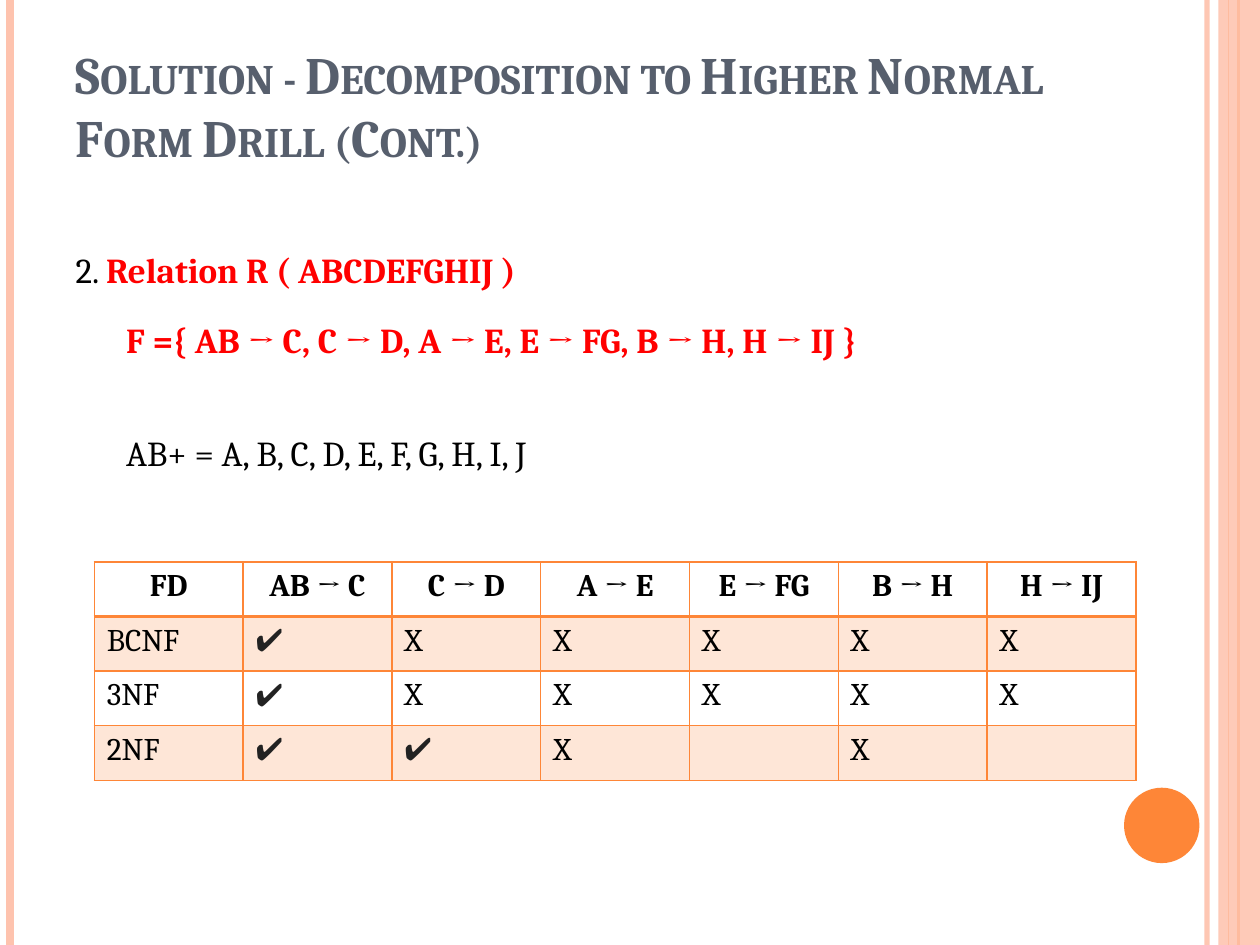
"""Build the normal form decomposition slide with its dependency table."""
import dataclasses
import typing

import pptx
import pptx.dml.color
import pptx.enum.shapes
import pptx.enum.text
import pptx.oxml
import pptx.oxml.ns
import pptx.util
from pptx.util import Cm

ALIGN = pptx.enum.text.PP_ALIGN
SHAPE = pptx.enum.shapes.MSO_SHAPE


@dataclasses.dataclass(frozen=True)
class Theme:
    font: str = "Cambria"
    symbol_font: str = "Arial"
    title_color: str = "575F6D"
    text_color: str = "000000"
    key_color: str = "FF0000"
    check_color: str = "222222"
    accent: str = "FE8637"
    pale: str = "FEC3AE"
    title_size: float = 30
    body_size: float = 20
    table_size: float = 18


THEME = Theme()


class Stripe(typing.NamedTuple):
    x: float
    color: str
    width: float
    opacity: int = 100


class Span(typing.NamedTuple):
    text: str
    color: str = THEME.text_color
    bold: bool = False
    font: str = THEME.font


class Line(typing.NamedTuple):
    spans: list[Span]
    indent: float
    before: float


STRIPES = [
    Stripe(24.33, THEME.pale, 3, 93),
    Stripe(0.2, THEME.pale, 4.5),
    Stripe(24.97, THEME.accent, 1.5),
    Stripe(24.77, THEME.accent, 0.75),
]
LINES = [
    Line([Span("2. "), Span("Relation R ( ABCDEFGHIJ )", THEME.key_color, True)], 0, 6),
    Line([Span("F ={ AB → C, C → D, A → E, E → FG, B → H, H → IJ }", THEME.key_color, True)], 1.02, 4.5),
    Line([Span("AB+ = A, B, C, D, E, F, G, H, I, J")], 1.02, 28.5),
]
ROWS = [
    ["FD", "AB → C", "C → D", "A → E", "E → FG", "B → H", "H → IJ"],
    ["BCNF", "✔", "X", "X", "X", "X", "X"],
    ["3NF", "✔", "X", "X", "X", "X", "X"],
    ["2NF", "✔", "✔", "X", "", "X", ""],
]


def rgb(color: str) -> pptx.dml.color.RGBColor:
    return pptx.dml.color.RGBColor.from_string(color)


def set_opacity(element, percent: int) -> None:
    for color in element.iter(pptx.oxml.ns.qn("a:srgbClr")):
        alpha = pptx.oxml.parse_xml(f'<a:alpha {pptx.oxml.ns.nsdecls("a")} val="{percent * 1000}"/>')
        color.append(alpha)


def add_span(para, span: Span, size: float):
    run = para.add_run()
    run.text = span.text
    run.font.name = span.font
    run.font.size = pptx.util.Pt(size)
    run.font.bold = span.bold
    run.font.color.rgb = rgb(span.color)
    return run


def place(box, left: float, top: float, width: float, height: float) -> None:
    box.left, box.top, box.width, box.height = Cm(left), Cm(top), Cm(width), Cm(height)
    box.text_frame.word_wrap = True
    box.text_frame.auto_size = pptx.enum.text.MSO_AUTO_SIZE.NONE


def draw_stripe(page, stripe: Stripe, height: int) -> None:
    line = page.shapes.add_connector(
        pptx.enum.shapes.MSO_CONNECTOR.STRAIGHT, Cm(stripe.x), 0, Cm(stripe.x), height)
    line.line.color.rgb = rgb(stripe.color)
    line.line.width = pptx.util.Pt(stripe.width)
    properties = line._element.spPr
    if stripe.opacity < 100:
        set_opacity(properties, stripe.opacity)
    properties.append(pptx.oxml.parse_xml(f'<a:effectLst {pptx.oxml.ns.nsdecls("a")}/>'))


def draw_shape(page, kind, left: float, top: float, width: float, height: float,
               color: str, opacity: int = 100) -> None:
    shape = page.shapes.add_shape(kind, Cm(left), Cm(top), Cm(width), Cm(height))
    shape.shadow.inherit = False
    shape.fill.solid()
    shape.fill.fore_color.rgb = rgb(color)
    shape.line.fill.background()
    if opacity < 100:
        set_opacity(shape._element.spPr, opacity)


def write_title(box) -> None:
    place(box, 1.27, 0.33, 20.75, 3.18)
    box.text_frame.vertical_anchor = pptx.enum.text.MSO_ANCHOR.BOTTOM
    para = box.text_frame.paragraphs[0]
    para.alignment = ALIGN.LEFT
    span = Span("Solution - Decomposition to Higher Normal Form Drill (Cont.)", THEME.title_color, True)
    run = add_span(para, span, THEME.title_size)
    run.font._element.set("cap", "small")


def write_body(box) -> None:
    place(box, 1.27, 4.45, 22.02, 13.54)
    frame = box.text_frame
    for index, line in enumerate(LINES):
        para = frame.add_paragraph() if index else frame.paragraphs[0]
        para.alignment = ALIGN.JUSTIFY
        para.line_spacing = 1.5
        para.space_before = pptx.util.Pt(line.before)
        properties = para._p.get_or_add_pPr()
        properties.set("marL", str(Cm(line.indent)))
        properties.set("indent", "0")
        properties.append(pptx.oxml.parse_xml(f'<a:buNone {pptx.oxml.ns.nsdecls("a")}/>'))
        for span in line.spans:
            add_span(para, span, THEME.body_size)


def add_borders(cell, header: bool, below_header: bool) -> None:
    widths = {"L": 1, "R": 1, "T": 2 if below_header else 1, "B": 2 if header else 1}
    for side, width in widths.items():
        cell._tc.get_or_add_tcPr().append(pptx.oxml.parse_xml(
            f'<a:ln{side} {pptx.oxml.ns.nsdecls("a")} w="{pptx.util.Pt(width)}"><a:solidFill>'
            f'<a:srgbClr val="{THEME.accent}"/></a:solidFill></a:ln{side}>'))


def fill_cell(cell, text: str, row: int) -> None:
    header = row == 0
    add_borders(cell, header, row == 1)
    if row % 2:
        cell.fill.solid()
        cell.fill.fore_color.rgb = rgb(THEME.accent)
        set_opacity(cell._tc.tcPr.find(pptx.oxml.ns.qn("a:solidFill")), 20)
    else:
        cell.fill.background()
    para = cell.text_frame.paragraphs[0]
    para.alignment = ALIGN.CENTER if header else ALIGN.LEFT
    if text == "✔":
        add_span(para, Span(text, THEME.check_color, font=THEME.symbol_font), THEME.table_size)
    elif text:
        add_span(para, Span(text, bold=header), THEME.table_size)


def draw_table(page) -> None:
    frame = page.shapes.add_table(len(ROWS), len(ROWS[0]), Cm(1.9), Cm(11.33), Cm(21), Cm(4.4))
    table = frame.table
    table.first_row = table.horz_banding = False
    for row, texts in enumerate(ROWS):
        for column, text in enumerate(texts):
            fill_cell(table.cell(row, column), text, row)


def main() -> None:
    deck = pptx.Presentation()
    deck.slide_width, deck.slide_height = Cm(25.4), Cm(19.05)
    page = deck.slides.add_slide(deck.slide_layouts[1])
    for stripe in STRIPES:
        draw_stripe(page, stripe, deck.slide_height)
    draw_shape(page, SHAPE.RECTANGLE, 24.56, 0, 0.84, 19.05, THEME.pale, 87)
    draw_shape(page, SHAPE.OVAL, 22.66, 15.88, 1.52, 1.52, THEME.accent)
    write_title(page.shapes.title)
    write_body(page.placeholders[1])
    draw_table(page)
    deck.save("out.pptx")


if __name__ == "__main__":
    main()
